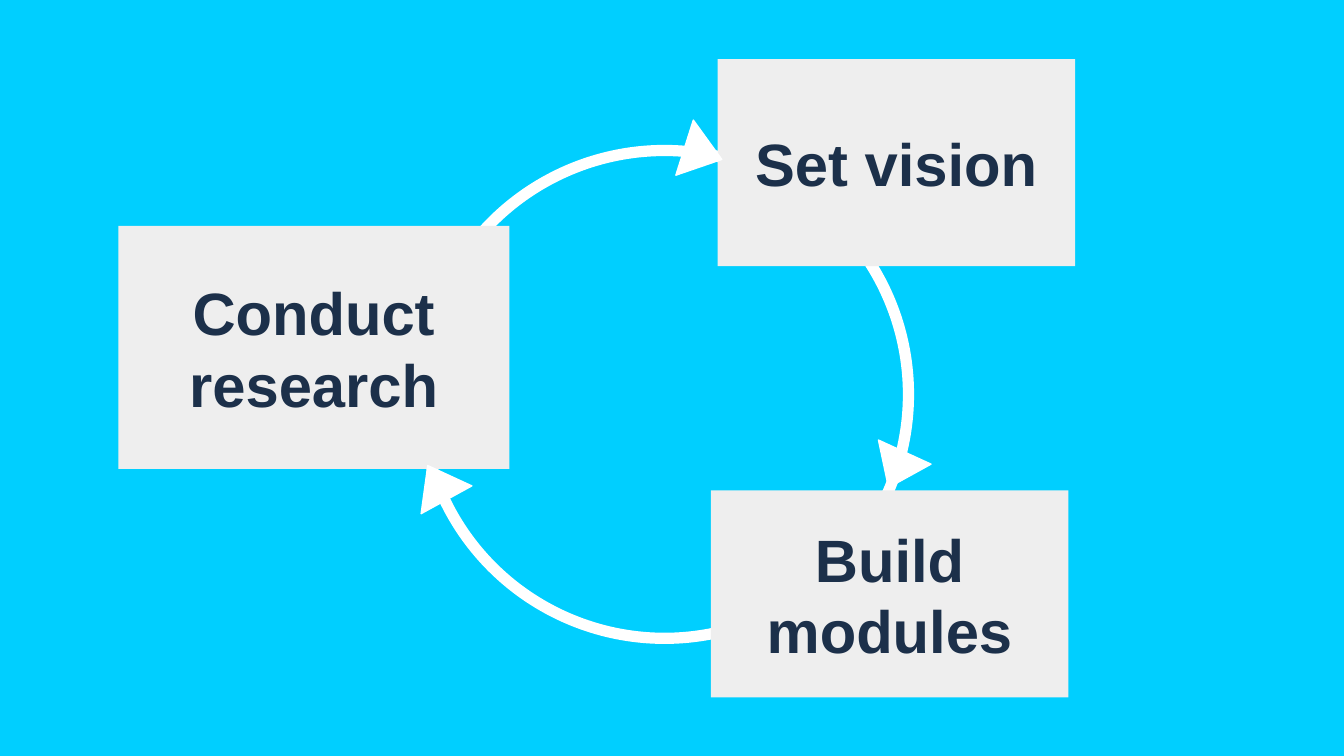
from math import cos, radians, sin

from pptx import Presentation
from pptx.dml.color import RGBColor
from pptx.enum.shapes import MSO_SHAPE
from pptx.enum.text import MSO_ANCHOR, PP_ALIGN
from pptx.util import Inches, Pt

# Content: text, left, top, width, height
STEPS = [
    ("Conduct research", 0.88, 1.68, 2.91, 1.81),
    ("Set vision", 5.34, 0.44, 2.66, 1.54),
    ("Build modules", 5.29, 3.65, 2.66, 1.54),
]
# Arrowheads: angle on the ring (clockwise from the right), rotation
ARROWHEADS = [(158.8, 331.3), (279.1, 107.6), (18, 204.6)]
RING_LEFT, RING_TOP, RING_SIZE = 3.13, 1.12, 3.63
HEAD_WIDTH, HEAD_HEIGHT = 0.43, 0.29
CYAN, WHITE, GREY, NAVY = "00CFFF", "FFFFFF", "EEEEEE", "1C304A"
TEXT_FORMAT = {"name": "Arial", "size": Pt(32), "bold": True}


def color(value):
    return RGBColor.from_string(value)


def add_shape(slide, kind, left, top, width, height, fill=None, line=None, line_width=0.75):
    shape = slide.shapes.add_shape(
        kind, Inches(left), Inches(top), Inches(width), Inches(height))
    shape.shadow.inherit = False
    for target, value in ((shape.fill, fill), (shape.line.fill, line)):
        if value:
            target.solid()
            target.fore_color.rgb = color(value)
        else:
            target.background()
    if line:
        shape.line.width = Pt(line_width)
    return shape


def add_step(slide, text, *box):
    frame = add_shape(slide, MSO_SHAPE.RECTANGLE, *box, fill=GREY).text_frame
    frame.word_wrap = True
    frame.vertical_anchor = MSO_ANCHOR.MIDDLE
    for side in ("left", "top", "right", "bottom"):
        setattr(frame, f"margin_{side}", Inches(0.1))
    paragraph = frame.paragraphs[0]
    paragraph.alignment = PP_ALIGN.CENTER
    run = paragraph.add_run()
    run.text = text
    for name, value in TEXT_FORMAT.items():
        setattr(run.font, name, value)
    run.font.color.rgb = color(NAVY)


def add_arrowhead(slide, angle, rotation):
    radius = RING_SIZE / 2
    center_x = RING_LEFT + radius * (1 + cos(radians(angle)))
    center_y = RING_TOP + radius * (1 + sin(radians(angle)))
    head = add_shape(
        slide, MSO_SHAPE.ISOSCELES_TRIANGLE,
        center_x - HEAD_WIDTH / 2, center_y - HEAD_HEIGHT / 2,
        HEAD_WIDTH, HEAD_HEIGHT, fill=WHITE, line=WHITE)
    head.rotation = rotation


def main():
    # Widescreen slide, 16:9
    presentation = Presentation()
    presentation.slide_width = Inches(10)
    presentation.slide_height = Inches(10 * 9 / 16)
    slide = presentation.slides.add_slide(presentation.slide_layouts[6])
    slide.background.fill.solid()
    slide.background.fill.fore_color.rgb = color(CYAN)

    # Ring behind the steps, arrowheads on top
    add_shape(slide, MSO_SHAPE.OVAL, RING_LEFT, RING_TOP, RING_SIZE, RING_SIZE,
              line=WHITE, line_width=6)
    for step in STEPS:
        add_step(slide, *step)
    for arrowhead in ARROWHEADS:
        add_arrowhead(slide, *arrowhead)

    presentation.save("out.pptx")


if __name__ == "__main__":
    main()
